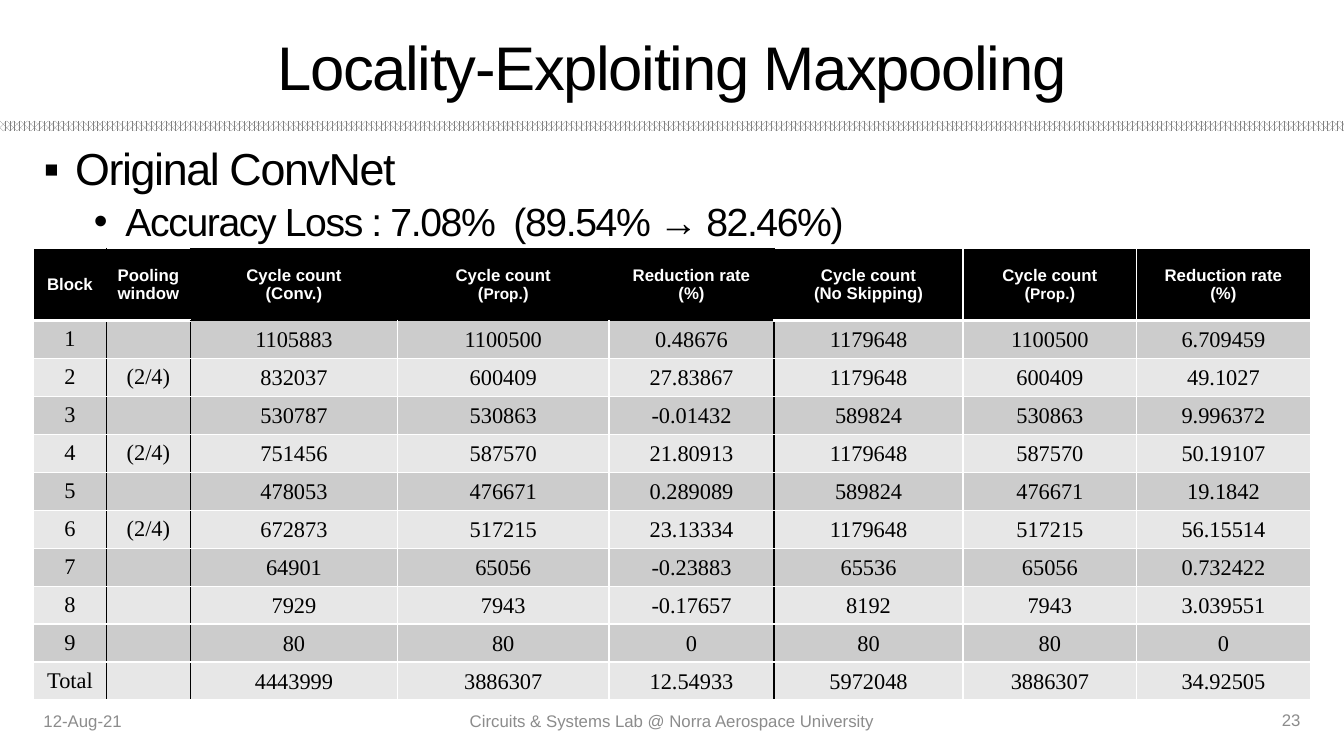
from lxml import etree
from pptx import Presentation
from pptx.dml.color import RGBColor
from pptx.enum.dml import MSO_PATTERN
from pptx.enum.shapes import MSO_SHAPE
from pptx.enum.text import MSO_ANCHOR, PP_ALIGN
from pptx.oxml.ns import qn
from pptx.util import Pt

BLACK = RGBColor(0, 0, 0)
WHITE = RGBColor(255, 255, 255)
GRAY = RGBColor(0x80, 0x80, 0x80)
FOOTER_GRAY = RGBColor(0x8C, 0x8C, 0x8C)
BAND_DARK = RGBColor(0xCC, 0xCC, 0xCC)
BAND_LIGHT = RGBColor(0xE7, 0xE7, 0xE7)
LEFT, CENTER, RIGHT = PP_ALIGN.LEFT, PP_ALIGN.CENTER, PP_ALIGN.RIGHT
TOP, MIDDLE = MSO_ANCHOR.TOP, MSO_ANCHOR.MIDDLE


def add_text(box, lines, size, color, align, anchor):
    s = slide.shapes.add_textbox(*map(Pt, box))
    tf = s.text_frame
    tf.word_wrap = True
    tf.vertical_anchor = anchor
    tf.text = "\n".join(lines)
    for p in tf.paragraphs:
        p.alignment = align
        p.font.name = "Arial"
        p.font.size = Pt(size)
        p.font.color.rgb = color
    return tf


def add_border(tcPr, side, color, width):
    ln = etree.SubElement(tcPr, qn("a:ln" + side), w=str(Pt(width)))
    solid = etree.SubElement(ln, qn("a:solidFill"))
    etree.SubElement(solid, qn("a:srgbClr"), val=str(color))


prs = Presentation()
prs.slide_width, prs.slide_height = Pt(960), Pt(540)
slide = prs.slides.add_slide(prs.slide_layouts[6])

bar = slide.shapes.add_shape(MSO_SHAPE.RECTANGLE, 0, Pt(86.4), Pt(960), Pt(7.2))
bar.shadow.inherit = False
bar.line.fill.background()
bar.fill.patterned()
bar.fill.pattern = MSO_PATTERN.PERCENT_70
bar.fill.fore_color.rgb = GRAY
bar.fill.back_color.rgb = WHITE

body = add_text((24, 101.5, 912, 385),
                ["Original ConvNet", "Accuracy Loss : 7.08%  (89.54% → 82.46%)"],
                32, BLACK, LEFT, TOP)
bullets = [("▪", 32, 22.5, 10), ("•", 28, 58.5, 5)]
for p, (char, size, indent, before) in zip(body.paragraphs, bullets):
    p.font.size = Pt(size)
    p.line_spacing = 0.9
    p.space_before = Pt(before)
    pPr = p._p.get_or_add_pPr()
    pPr.set("marL", str(Pt(indent)))
    pPr.set("indent", str(Pt(-22.5)))
    defRPr = pPr.find(qn("a:defRPr"))
    defRPr.addprevious(etree.Element(qn("a:buFont"), typeface="Arial"))
    defRPr.addprevious(etree.Element(qn("a:buChar"), char=char))

footers = [
    ((24, 500.5, 216, 28.8), "12-Aug-21", LEFT),
    ((318, 500.5, 324, 28.8), "Circuits & Systems Lab @ Norra Aerospace University", CENTER),
    ((717, 500, 219, 28.8), "23", RIGHT),
]
for box, text, align in footers:
    add_text(box, [text], 12, FOOTER_GRAY, align, MIDDLE)

title = add_text((24, 16, 912, 62.6), ["Locality-Exploiting Maxpooling"],
                 44, BLACK, CENTER, MIDDLE)
for p in [*title.paragraphs, *body.paragraphs]:
    p._p.pPr.find(qn("a:defRPr")).set("spc", "-100")

rows = [
    ["Block", "Pooling window", "Cycle count\n(Conv.)", "Cycle count\n(Prop.)",
     "Reduction rate\n(%)", "Cycle count\n(No Skipping)", "Cycle count\n(Prop.)",
     "Reduction rate\n(%)"],
    ["1", "", "1105883", "1100500", "0.48676", "1179648", "1100500", "6.709459"],
    ["2", "(2/4)", "832037", "600409", "27.83867", "1179648", "600409", "49.1027"],
    ["3", "", "530787", "530863", "-0.01432", "589824", "530863", "9.996372"],
    ["4", "(2/4)", "751456", "587570", "21.80913", "1179648", "587570", "50.19107"],
    ["5", "", "478053", "476671", "0.289089", "589824", "476671", "19.1842"],
    ["6", "(2/4)", "672873", "517215", "23.13334", "1179648", "517215", "56.15514"],
    ["7", "", "64901", "65056", "-0.23883", "65536", "65056", "0.732422"],
    ["8", "", "7929", "7943", "-0.17657", "8192", "7943", "3.039551"],
    ["9", "", "80", "80", "0", "80", "80", "0"],
    ["Total", "", "4443999", "3886307", "12.54933", "5972048", "3886307", "34.92505"],
]
widths = [52, 60, 148, 151, 118, 135, 124, 124]
table = slide.shapes.add_table(len(rows), len(widths), Pt(24), Pt(177.5),
                               Pt(912), Pt(322.5)).table
for c, width in enumerate(widths):
    table.columns[c].width = Pt(width)

for r, values in enumerate(rows):
    header = r == 0
    table.rows[r].height = Pt(51.5 if header else 27.1)
    white_edges = (0, 6, 7, 8) if header else (0, 3, 4, 6, 7, 8)
    for c, value in enumerate(values):
        cell = table.cell(r, c)
        tcPr = cell._tc.get_or_add_tcPr()
        for side, edge in (("L", c), ("R", c + 1)):
            add_border(tcPr, side, WHITE if edge in white_edges else BLACK, 1)
        for side, edge in (("T", r), ("B", r + 1)):
            dark = edge <= 1 and c in (2, 3, 4)
            add_border(tcPr, side, BLACK if dark else WHITE,
                       3 if edge == 1 and not dark else 1)
        cell.fill.solid()
        cell.fill.fore_color.rgb = BLACK if header else BAND_DARK if r % 2 else BAND_LIGHT
        cell.vertical_anchor = MIDDLE
        if not header:
            cell.margin_top = Pt(0.7)
            cell.margin_bottom = Pt(0 if c > 1 else 1.5)
            if c > 1:
                cell.margin_left = cell.margin_right = Pt(0.7)
        cell.text = value
        for p in cell.text_frame.paragraphs:
            p.alignment = CENTER
            p.font.name = "Arial" if header else "Times New Roman"
            p.font.size = Pt(12 if header else 16)
            p.font.bold = header
            p.font.color.rgb = WHITE if header else BLACK
            if p.text == "(Prop.)":
                p.runs[0].text = "("
                prop = p.add_run()
                prop.text = "Prop."
                prop.font.size = Pt(11)
                p.add_run().text = ")"

prs.save("out.pptx")
